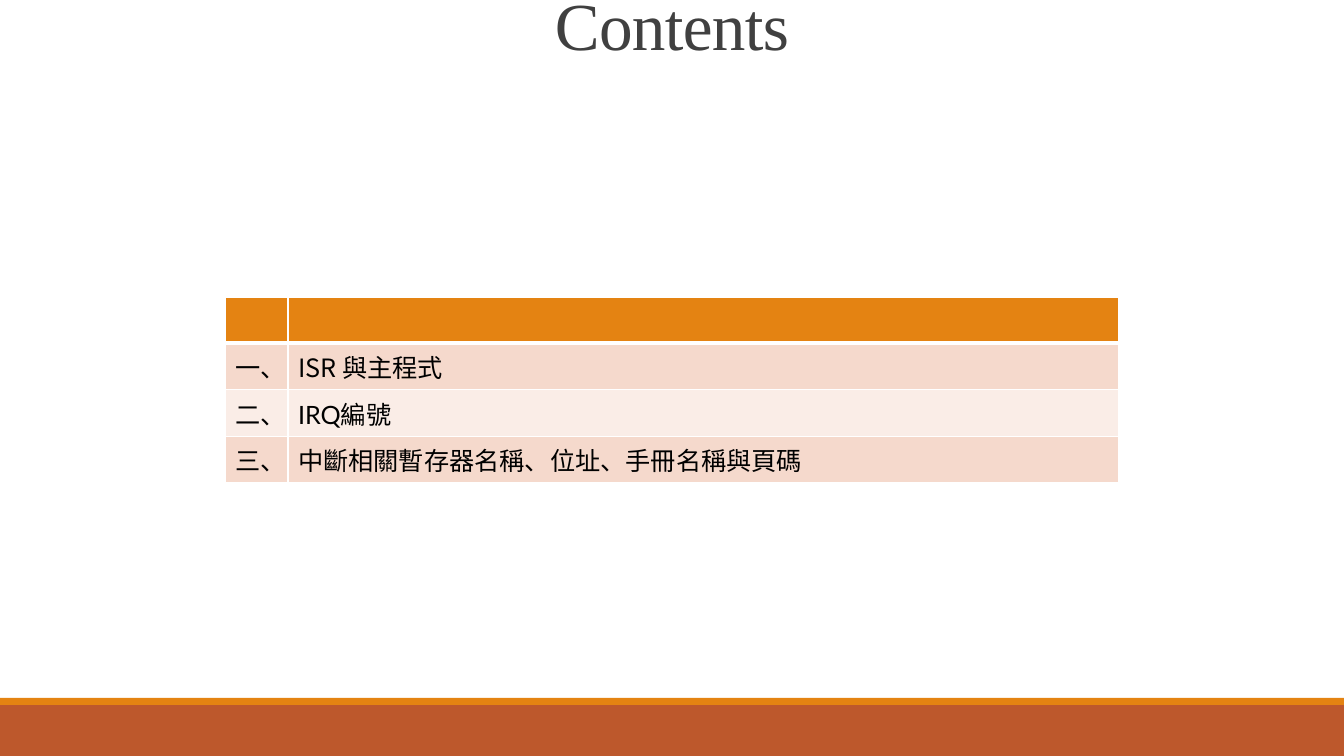
import pptx
import pptx.util
import pptx.dml.color
import pptx.enum.shapes
import pptx.enum.text
import pptx.oxml
import pptx.oxml.ns
from lxml import etree

W, H = 1344, 756
CJK, LATIN = "Noto Sans CJK SC", "Lato"
ITEMS = [
    ("一、", "ISR 與主程式", CJK),
    ("二、", "IRQ編號", LATIN),
    ("三、", "中斷相關暫存器名稱、位址、手冊名稱與頁碼", LATIN),
]


def px(n):
    return pptx.util.Emu(round(n * 914400 / 100.8))


def rgb(value):
    return pptx.dml.color.RGBColor.from_string(value)


def add_run(p, text, face, color, **formats):
    r = p.add_run()
    r.text = text
    for name, value in {"name": face, **formats}.items():
        setattr(r.font, name, value)
    r.font.color.rgb = rgb(color)
    ea = etree.SubElement(r.font._element, pptx.oxml.ns.qn("a:ea"))
    ea.set("typeface", CJK)
    return r


def add_footer(s, x, y, w, h):
    strip = 7
    for top, height, color in ((y + strip, h - strip, "BD582C"), (y, strip, "E48312")):
        sp = s.shapes.add_shape(pptx.enum.shapes.MSO_SHAPE.RECTANGLE,
                                px(x), px(top), px(w), px(height))
        sp.shadow.inherit = False
        sp.fill.solid()
        sp.fill.fore_color.rgb = rgb(color)
        sp.line.fill.background()


def add_title(s, x, y, w, h):
    sp = s.shapes.title
    for name, value in {"left": x, "top": y, "width": w, "height": h}.items():
        setattr(sp, name, px(value))
    tf = sp.text_frame
    formats = {"word_wrap": True, "auto_size": pptx.enum.text.MSO_AUTO_SIZE.NONE,
               "vertical_anchor": pptx.enum.text.MSO_ANCHOR.MIDDLE}
    for name, value in formats.items():
        setattr(tf, name, value)
    p = tf.paragraphs[0]
    p.alignment = pptx.enum.text.PP_ALIGN.CENTER
    p.line_spacing = 0.85
    r = add_run(p, "Contents", "Times New Roman", "404040", size=pptx.util.Pt(48))
    r.font._element.set("spc", "-50")


def set_borders(cell, bottom):
    tcPr = cell._tc.get_or_add_tcPr()
    for index, (side, points) in enumerate((("L", 1), ("R", 1), ("T", 1), ("B", bottom))):
        tcPr.insert(index, pptx.oxml.parse_xml(
            f'<a:ln{side} {pptx.oxml.ns.nsdecls("a")} w="{pptx.util.Pt(points)}">'
            f'<a:solidFill><a:srgbClr val="FFFFFF"/></a:solidFill></a:ln{side}>'))


def add_contents(s, x, y, w, h):
    rows = [("", "", LATIN)] + ITEMS
    number_width = 63
    table = s.shapes.add_table(len(rows), 2, px(x), px(y), px(w), px(h)).table
    for column, width in zip(table.columns, (number_width, w - number_width)):
        column.width = px(width)
    for i, (number, text, face) in enumerate(rows):
        table.rows[i].height = px(h / len(rows))
        fill = "E48312" if i == 0 else ("FAEDE7", "F5D9CC")[i % 2]
        for cell, value, font in zip(table.rows[i].cells, (number, text), (CJK, face)):
            cell.fill.solid()
            cell.fill.fore_color.rgb = rgb(fill)
            set_borders(cell, 3 if i == 0 else 1)
            if value:
                add_run(cell.text_frame.paragraphs[0], value, font, "000000",
                        size=pptx.util.Pt(18))


def main():
    prs = pptx.Presentation()
    prs.slide_width, prs.slide_height = px(W), px(H)
    s = prs.slides.add_slide(prs.slide_layouts[5])
    add_footer(s, 0, 698, W, H - 698)
    add_title(s, 118, 0, W - 2 * 118, 60)
    add_contents(s, 225, 297, W - 2 * 225, 185)
    prs.save("out.pptx")


if __name__ == "__main__":
    main()
